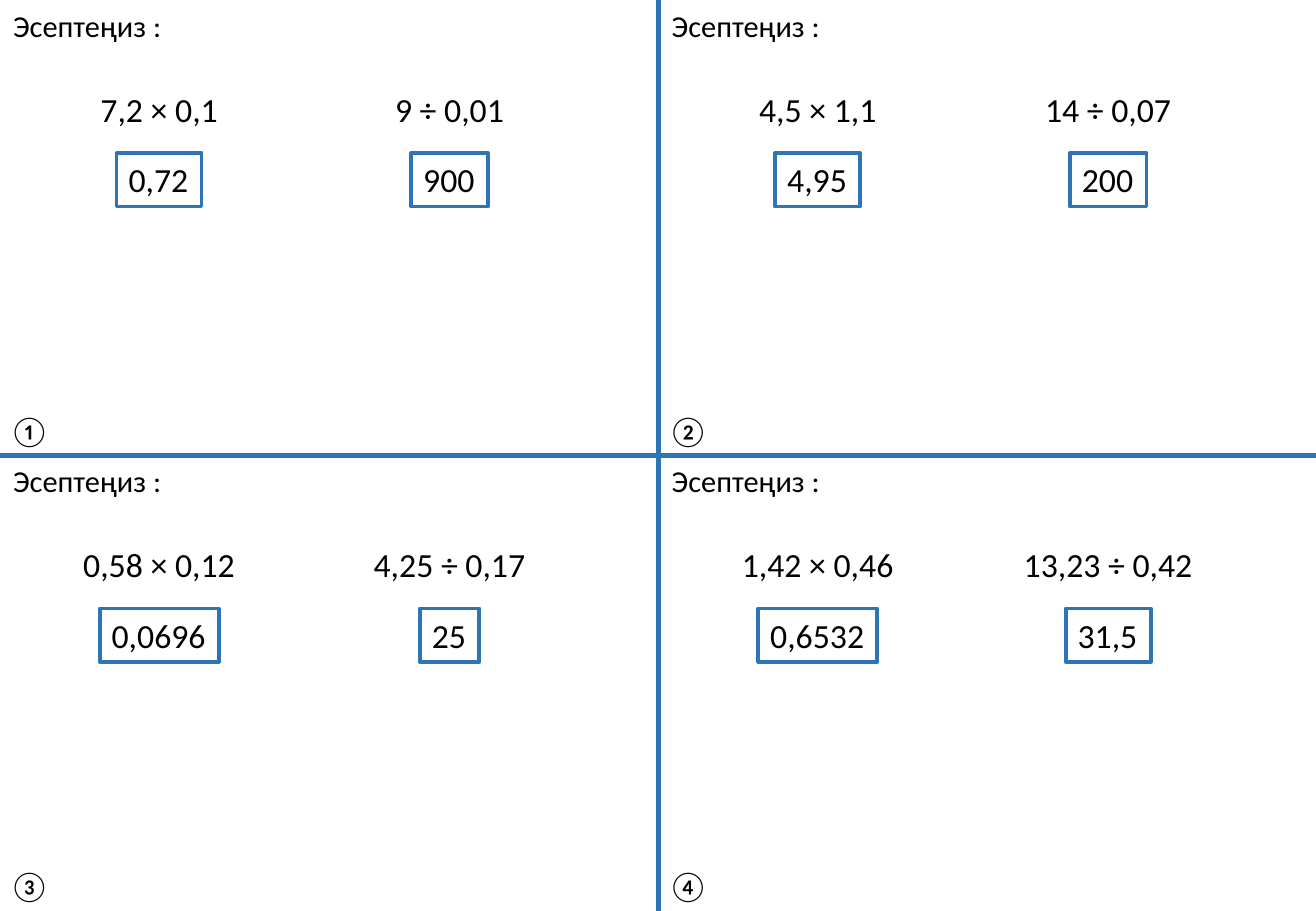
from lxml.etree import SubElement
from pptx import Presentation
from pptx.dml.color import RGBColor
from pptx.enum.shapes import MSO_CONNECTOR, MSO_SHAPE
from pptx.enum.text import MSO_ANCHOR, MSO_AUTO_SIZE, PP_ALIGN
from pptx.oxml.ns import qn
from pptx.util import Inches, Pt

BLUE = RGBColor(0x2E, 0x75, 0xB6)
BLACK = RGBColor(0, 0, 0)
WHITE = RGBColor(0xFF, 0xFF, 0xFF)

WIDTH, HEIGHT = 10.83, 7.5
COL_STEP, ROW_STEP = 5.42, 3.75
TASK_CENTERS = (1.31, 3.7)

# Each task: expression, its width, answer, its width
CARDS = [
    ("①", [("7,2 × 0,1", 1.18, "0,72", 0.7), ("9 ÷ 0,01", 1.11, "900", 0.63)]),
    ("②", [("4,5 × 1,1", 1.18, "4,95", 0.7), ("14 ÷ 0,07", 1.25, "200", 0.63)]),
    ("③", [("0,58 × 0,12", 1.46, "0,0696", 0.98), ("4,25 ÷ 0,17", 1.46, "25", 0.49)]),
    ("④", [("1,42 × 0,46", 1.46, "0,6532", 0.98), ("13,23 ÷ 0,42", 1.6, "31,5", 0.7)]),
]


def set_text(sp, text, size, align):
    """Write one unwrapped line of text into a shape."""
    tf = sp.text_frame
    tf.word_wrap = False
    tf.auto_size = MSO_AUTO_SIZE.SHAPE_TO_FIT_TEXT
    tf.vertical_anchor = MSO_ANCHOR.TOP
    p = tf.paragraphs[0]
    p.text = text
    p.alignment = align
    p.font.name = "Calibri"
    p.font.size = Pt(size)
    p.font.color.rgb = BLACK


def add_label(s, text, x, y, w, h=0.4, size=18, align=PP_ALIGN.LEFT):
    """Add a plain text box."""
    sp = s.shapes.add_textbox(Inches(x), Inches(y), Inches(w), Inches(h))
    set_text(sp, text, size, align)


def add_answer(s, text, x, y, w):
    """Add an answer in a blue frame."""
    sp = s.shapes.add_shape(MSO_SHAPE.RECTANGLE, Inches(x), Inches(y), Inches(w), Inches(0.44))
    sp.shadow.inherit = False
    sp.fill.solid()
    sp.fill.fore_color.rgb = WHITE
    sp.line.color.rgb = BLUE
    sp.line.width = Pt(2.25)
    set_text(sp, text, 20, PP_ALIGN.JUSTIFY)


def add_divider(s, x1, y1, x2, y2):
    """Add a line between the cards."""
    line = s.shapes.add_connector(
        MSO_CONNECTOR.STRAIGHT, Inches(x1), Inches(y1), Inches(x2), Inches(y2))
    line.line.color.rgb = BLUE
    line.line.width = Pt(3)
    SubElement(line._element.spPr, qn("a:effectLst"))


def add_card(s, x, y, number, tasks):
    """Add one card with its heading, number, tasks and answers."""
    add_label(s, "Эсептеңиз :", x + 0.01, y + 0.01, 1.44)
    add_label(s, number, x - 0.02, y + 3.34, 0.54)
    for center, (expression, width, answer, answer_width) in zip(TASK_CENTERS, tasks):
        add_label(s, expression, x + center - width / 2, y + 0.68, width,
                  0.44, 20, PP_ALIGN.CENTER)
        add_answer(s, answer, x + center - answer_width / 2, y + 1.26, answer_width)


def main():
    """Build the slide of four calculation cards."""
    prs = Presentation()
    prs.slide_width, prs.slide_height = Inches(WIDTH), Inches(HEIGHT)
    s = prs.slides.add_slide(prs.slide_layouts[6])
    add_divider(s, COL_STEP, 0, COL_STEP, HEIGHT)
    add_divider(s, 0, ROW_STEP, WIDTH, ROW_STEP)
    for i, (number, tasks) in enumerate(CARDS):
        row, col = divmod(i, 2)
        add_card(s, col * COL_STEP, row * ROW_STEP, number, tasks)
    prs.save("out.pptx")


if __name__ == "__main__":
    main()
